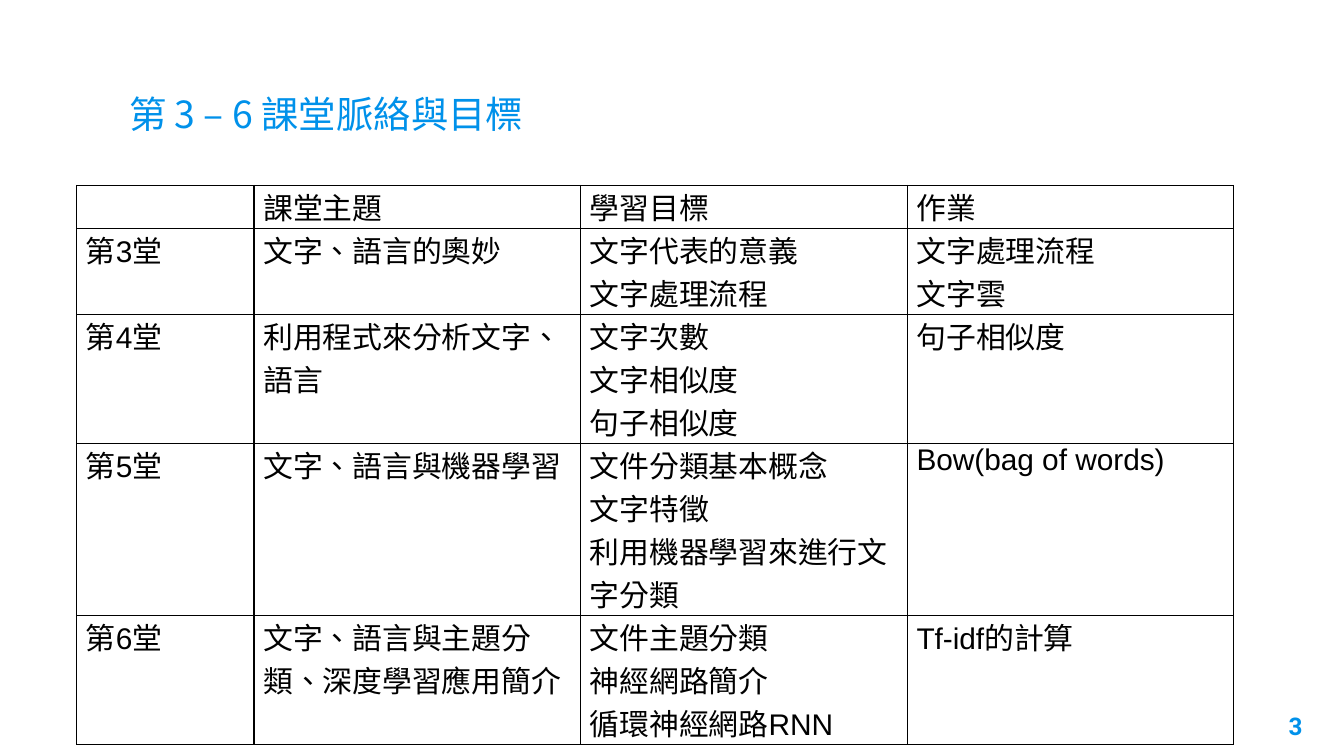
import pptx
import pptx.dml.color
import pptx.enum.text
import pptx.oxml
import pptx.oxml.ns
import pptx.util
from pptx.util import Inches, Pt

TITLE = "第 3 – 6 課堂脈絡與目標"
PAGE_NUMBER = "3"
# Each cell is a list of lines; a cell takes one paragraph per line.
LESSONS = [
    [[], ["課堂主題"], ["學習目標"], ["作業"]],
    [["第3堂"], ["文字、語言的奧妙"], ["文字代表的意義", "文字處理流程"],
     ["文字處理流程", "文字雲"]],
    [["第4堂"], ["利用程式來分析文字、語言"],
     ["文字次數", "文字相似度", "句子相似度"], ["句子相似度"]],
    [["第5堂"], ["文字、語言與機器學習"],
     ["文件分類基本概念", "文字特徵", "利用機器學習來進行文字分類"],
     ["Bow(bag of words)"]],
    [["第6堂"], ["文字、語言與主題分類、深度學習應用簡介"],
     ["文件主題分類", "神經網路簡介", "循環神經網路RNN"], ["Tf-idf的計算"]],
]
ROW_LINES = [1, 2, 3, 4, 3]
LINE_HEIGHT = 0.32
COLUMN_WIDTHS = [1.32, 2.43, 2.43, 2.43]

THEME = {
    "accent": "0091EA", "ink": "000000", "border": 0.75,
    "cjk": "Noto Sans CJK TC", "body": "Arial", "number": "Roboto",
    "title_size": 20, "table_size": 16, "number_size": 13,
}


def write(frame, lines, font, size, color, bold=False):
    frame.text = "\n".join(lines)
    for para in frame.paragraphs:
        para._p.get_or_add_pPr().set("hangingPunct", "0")
        for span in para.runs:
            span.font.name = font
            span.font.size = Pt(size)
            span.font.bold = bold
            span.font.color.rgb = pptx.dml.color.RGBColor.from_string(color)
            span.font._element.set("lang", "zh-TW")
            latin = span.font._element.find(pptx.oxml.ns.qn("a:latin"))
            latin.addnext(pptx.oxml.parse_xml(
                f'<a:ea {pptx.oxml.ns.nsdecls("a")} typeface="{THEME["cjk"]}"/>'))


def set_insets(frame, inset):
    frame.margin_left = frame.margin_right = Inches(inset)
    frame.margin_top = frame.margin_bottom = Inches(inset)


def add_borders(cell):
    properties = cell._tc.get_or_add_tcPr()
    for side in ("lnL", "lnR", "lnT", "lnB"):
        properties.append(pptx.oxml.parse_xml(
            f'<a:{side} {pptx.oxml.ns.nsdecls("a")} w="{Pt(THEME["border"])}">'
            f'<a:solidFill><a:srgbClr val="{THEME["ink"]}"/></a:solidFill>'
            f'</a:{side}>'))


def add_title(page):
    title = page.shapes.title
    title.left, title.top = Inches(0.86), Inches(0.34)
    title.width, title.height = Inches(8.28), Inches(0.77)
    frame = title.text_frame
    set_insets(frame, 0.1)
    frame.auto_size = pptx.enum.text.MSO_AUTO_SIZE.NONE
    frame.vertical_anchor = pptx.enum.text.MSO_ANCHOR.BOTTOM
    write(frame, [TITLE], THEME["cjk"], THEME["title_size"], THEME["accent"])
    frame.paragraphs[0].alignment = pptx.enum.text.PP_ALIGN.LEFT


def add_page_number(page):
    box = page.shapes.add_textbox(
        Inches(9.19), Inches(5.19), Inches(0.6), Inches(0.43))
    frame = box.text_frame
    frame.word_wrap = True
    set_insets(frame, 0.1)
    write(frame, [PAGE_NUMBER], THEME["number"], THEME["number_size"],
          THEME["accent"], bold=True)
    frame.paragraphs[0].alignment = pptx.enum.text.PP_ALIGN.RIGHT


def add_lesson_table(page):
    table = page.shapes.add_table(
        len(LESSONS), len(COLUMN_WIDTHS), Inches(0.57), Inches(1.38),
        Inches(sum(COLUMN_WIDTHS)), Inches(sum(ROW_LINES) * LINE_HEIGHT)).table
    table.first_row = table.horz_banding = False
    for column, width in zip(table.columns, COLUMN_WIDTHS):
        column.width = Inches(width)
    for row, lines, lesson in zip(table.rows, ROW_LINES, LESSONS):
        row.height = Inches(lines * LINE_HEIGHT)
        for cell, content in zip(row.cells, lesson):
            cell.margin_left = cell.margin_right = Inches(0.07)
            cell.margin_top = cell.margin_bottom = 0
            add_borders(cell)
            cell.fill.background()
            write(cell.text_frame, content, THEME["body"],
                  THEME["table_size"], THEME["ink"])


def main():
    deck = pptx.Presentation()
    deck.slide_width = Inches(10)
    deck.slide_height = deck.slide_width * 9 // 16
    page = deck.slides.add_slide(deck.slide_layouts.get_by_name("Title Only"))
    add_title(page)
    add_page_number(page)
    add_lesson_table(page)
    deck.save("out.pptx")


if __name__ == "__main__":
    main()
